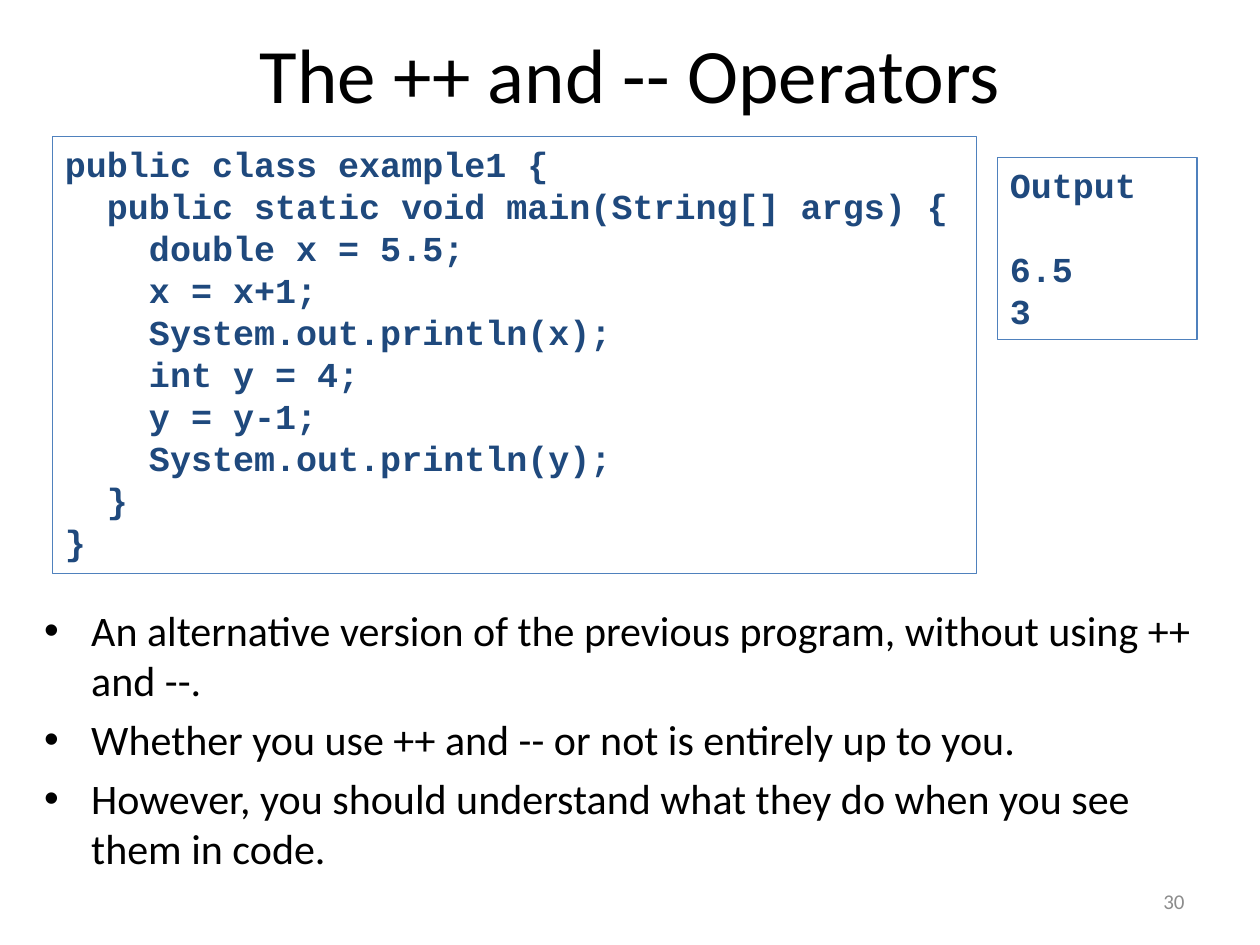
from dataclasses import dataclass

import pptx
import pptx.dml.color
import pptx.enum.shapes
import pptx.enum.text
import pptx.oxml
import pptx.oxml.ns
import pptx.util
from pptx.util import Cm, Pt

RGBColor = pptx.dml.color.RGBColor
Align = pptx.enum.text.PP_ALIGN
Anchor = pptx.enum.text.MSO_ANCHOR


@dataclass(frozen=True)
class TextStyle:
    font: str
    size: int
    color: RGBColor
    bold: bool = False


@dataclass(frozen=True)
class Theme:
    title: TextStyle = TextStyle("Calibri", 44, RGBColor(0, 0, 0))
    body: TextStyle = TextStyle("Calibri", 24, RGBColor(0, 0, 0))
    number: TextStyle = TextStyle("Calibri", 12, RGBColor(0x8C, 0x8C, 0x8C))
    code: TextStyle = TextStyle("Courier New", 20, RGBColor(0x1F, 0x49, 0x7D), True)
    border: RGBColor = RGBColor(0x4F, 0x81, 0xBD)
    border_width: float = 0.75


@dataclass(frozen=True)
class Box:
    left: float
    top: float
    width: float
    height: float

    def lengths(self) -> tuple:
        return Cm(self.left), Cm(self.top), Cm(self.width), Cm(self.height)


@dataclass(frozen=True)
class Panel:
    box: Box
    lines: list[str]
    heading_gap: int = 0


THEME = Theme()

TITLE_BOX = Box(0.64, 0.2, 24.13, 2.54)
NOTES_BOX = Box(0.64, 12.06, 24.33, 5.72)
NUMBER_BOX = Box(18.2, 17.65, 5.93, 1.02)

CODE = """public class example1 {
  public static void main(String[] args) {
    double x = 5.5;
    x = x+1;
    System.out.println(x);
    int y = 4;
    y = y-1;
    System.out.println(y);
  }
}"""

PANELS = [
    Panel(Box(1.06, 2.75, 18.63, 8.81), CODE.splitlines()),
    Panel(Box(20.11, 3.17, 4.02, 3.68), ["Output", "6.5", "3"], heading_gap=24),
]

NOTES = [
    "An alternative version of the previous program, without using ++ and --.",
    "Whether you use ++ and -- or not is entirely up to you.",
    "However, you should understand what they do when you see them in code.",
]


def write_lines(frame, lines: list[str], style: TextStyle, align=Align.LEFT) -> None:
    frame.word_wrap = True
    frame.text = "\n".join(lines)
    for paragraph in frame.paragraphs:
        paragraph.alignment = align
        paragraph.font.name = style.font
        paragraph.font.size = Pt(style.size)
        paragraph.font.bold = style.bold
        paragraph.font.color.rgb = style.color


def add_bullet(paragraph, indent: Cm) -> None:
    properties = paragraph._p.get_or_add_pPr()
    properties.set("marL", str(indent))
    properties.set("indent", str(-indent))
    namespace = pptx.oxml.ns.nsdecls("a")
    bullet_parts = [
        f'<a:buFont {namespace} typeface="Arial"/>',
        f'<a:buChar {namespace} char="•"/>',
    ]
    position = 1 if paragraph.space_before is not None else 0
    for offset, xml in enumerate(bullet_parts):
        properties.insert(position + offset, pptx.oxml.parse_xml(xml))


def add_title(slide, text: str) -> None:
    title = slide.shapes.title
    title.left, title.top, title.width, title.height = TITLE_BOX.lengths()
    title.text_frame.vertical_anchor = Anchor.MIDDLE
    write_lines(title.text_frame, [text], THEME.title, Align.CENTER)


def add_panel(slide, panel: Panel) -> None:
    shape = slide.shapes.add_shape(
        pptx.enum.shapes.MSO_SHAPE.RECTANGLE, *panel.box.lengths()
    )
    shape.shadow.inherit = False
    shape.fill.background()
    shape.line.color.rgb = THEME.border
    shape.line.width = Pt(THEME.border_width)
    frame = shape.text_frame
    frame.vertical_anchor = Anchor.TOP
    write_lines(frame, panel.lines, THEME.code)
    if panel.heading_gap:
        frame.paragraphs[0].space_after = Pt(panel.heading_gap)


def add_notes(slide) -> None:
    frame = slide.shapes.add_textbox(*NOTES_BOX.lengths()).text_frame
    write_lines(frame, NOTES, THEME.body)
    for paragraph in frame.paragraphs:
        paragraph.space_before = Pt(THEME.body.size * 0.2)
        add_bullet(paragraph, Cm(0.95))


def add_slide_number(slide, number: int) -> None:
    frame = slide.shapes.add_textbox(*NUMBER_BOX.lengths()).text_frame
    frame.vertical_anchor = Anchor.MIDDLE
    write_lines(frame, [str(number)], THEME.number, Align.RIGHT)


def main() -> None:
    presentation = pptx.Presentation()
    presentation.slide_width, presentation.slide_height = Cm(25.4), Cm(19.05)
    slide = presentation.slides.add_slide(presentation.slide_layouts[5])
    add_title(slide, "The ++ and -- Operators")
    add_notes(slide)
    add_slide_number(slide, 30)
    for panel in PANELS:
        add_panel(slide, panel)
    presentation.save("out.pptx")


if __name__ == "__main__":
    main()
